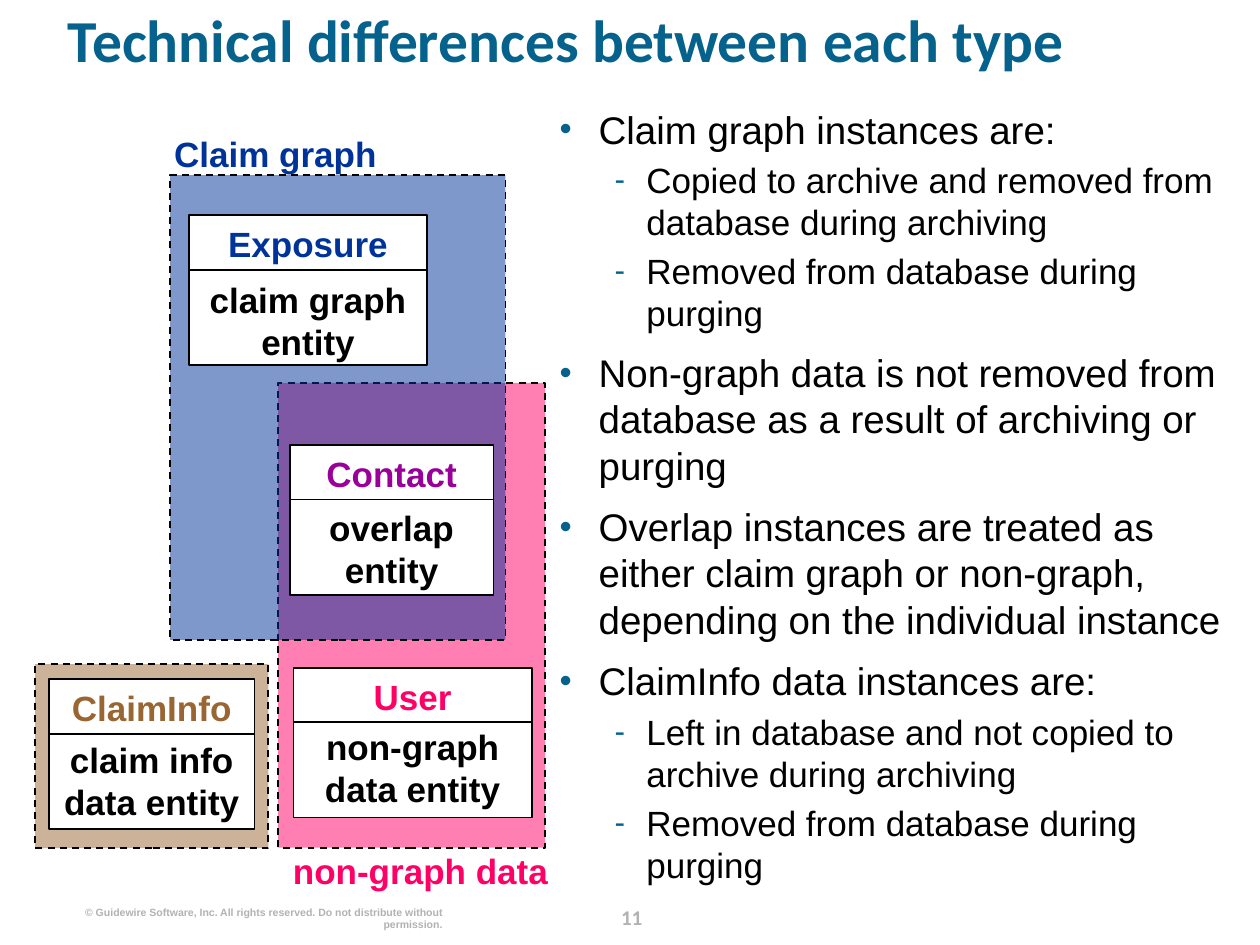
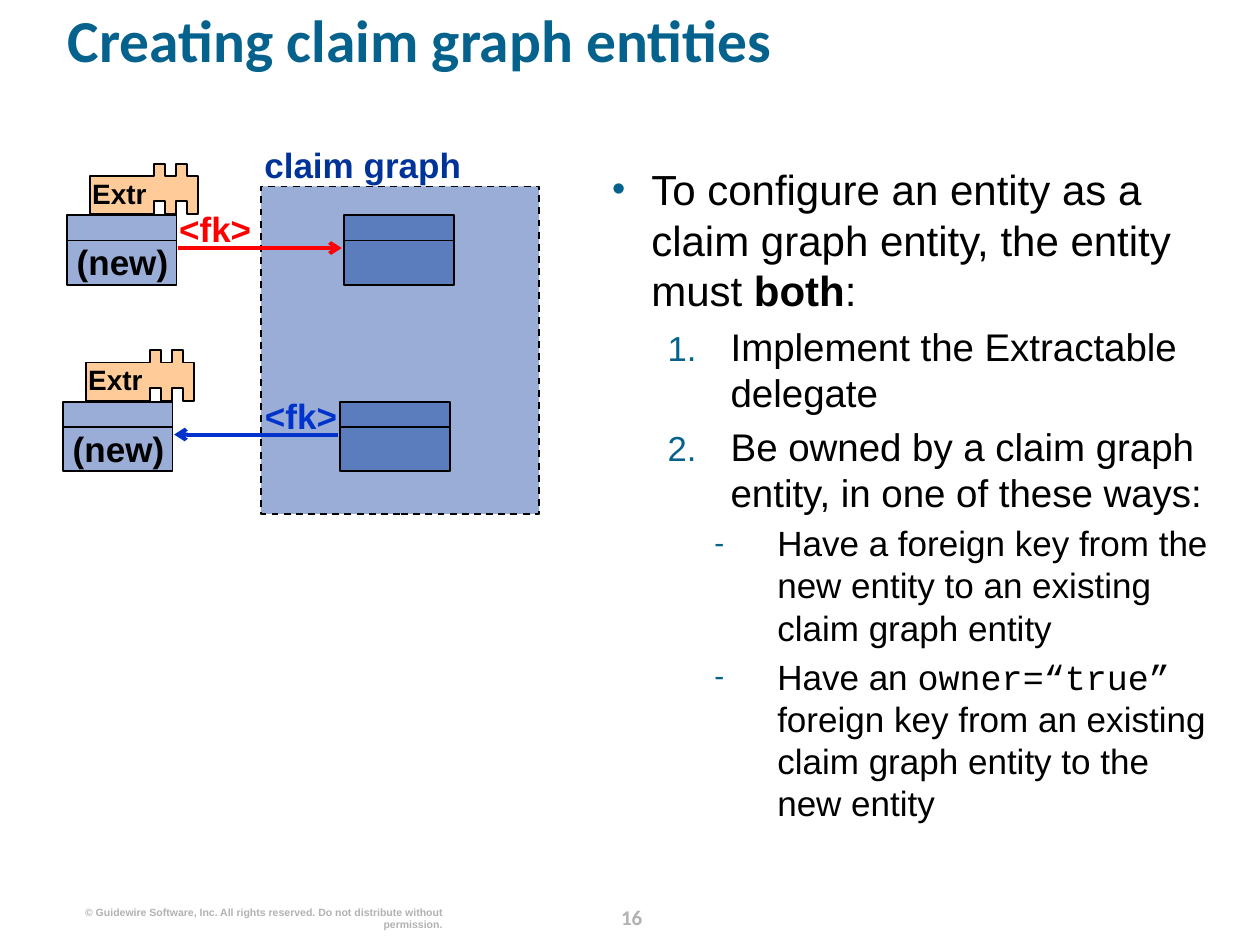
from dataclasses import dataclass

from lxml.etree import SubElement
from pptx import Presentation
from pptx.dml.color import RGBColor
from pptx.enum.dml import MSO_LINE
from pptx.enum.shapes import MSO_CONNECTOR, MSO_SHAPE
from pptx.enum.text import PP_ALIGN
from pptx.oxml.ns import qn
from pptx.util import Cm, Pt

COLORS = {
    "title": "04628C",
    "footer": "B2B2B2",
    "text": "000000",
    "white": "FFFFFF",
    "graph": "003399",
    "non_graph": "FF0066",
    "overlap": "990099",
    "claim_info": "996633",
    "extractable": "FFCC99",
    "key_out": "FF0000",
    "key_in": "0033CC",
}
COPYRIGHT = ("© Guidewire Software, Inc. All rights reserved. "
             "Do not distribute without permission.")


@dataclass
class Level:
    margin: float
    hanging: float
    size: int
    before: float
    bullet: str
    percent: int = 90


POINT = Level(0.79, 0.79, 22, 8.8, "•")
DETAIL = Level(1.75, 0.64, 20, 4, "-")
LEAD = Level(0.79, 0.79, 24, 9.6, "•")
STEP = Level(2.39, 1.27, 22, 4.4, "1.")
OPTION = Level(3.33, 1.27, 20, 4, "-", 85)


def rgb(name):
    return RGBColor.from_string(COLORS[name])


class Deck:
    def __init__(self):
        self.prs = Presentation()
        self.prs.slide_width, self.prs.slide_height = Cm(25.4), Cm(19.05)
        self.s = None

    def slide(self, title, number):
        self.s = self.prs.slides.add_slide(self.prs.slide_layouts[6])
        p = self.text(12.01, 18.11, 1.45, 0.64, str(number), "footer", 12,
                      PP_ALIGN.CENTER, "Calibri")
        p.line_spacing = Pt(18)
        self.text(1.55, 18.26, 7.37, 0.25, COPYRIGHT, "footer", 6, PP_ALIGN.RIGHT)
        p = self.text(1.37, 0.33, 23.11, 2.06, title, "title", 34, font="Calibri")
        p.line_spacing = 0.8

    def frame(self, x, y, w, h):
        tf = self.s.shapes.add_textbox(Cm(x), Cm(y), Cm(w), Cm(h)).text_frame
        tf.word_wrap = True
        tf.margin_left = tf.margin_right = tf.margin_top = tf.margin_bottom = 0
        return tf

    def style(self, r, color, size, bold, font):
        r.font.name, r.font.size, r.font.bold = font, Pt(size), bold
        r.font.color.rgb = rgb(color)

    def text(self, x, y, w, h, text, color="text", size=20,
             align=PP_ALIGN.LEFT, font="Arial"):
        p = self.frame(x, y, w, h).paragraphs[0]
        p.text = text
        p.alignment = align
        for r in p.runs:
            self.style(r, color, size, True, font)
        return p

    def bullet(self, p, level):
        pPr = p._p.get_or_add_pPr()
        pPr.set("marL", str(Cm(level.margin)))
        pPr.set("indent", str(-Cm(level.hanging)))
        SubElement(SubElement(pPr, qn("a:buClr")), qn("a:srgbClr"), val=COLORS["title"])
        SubElement(pPr, qn("a:buSzPct"), val=str(level.percent * 1000))
        SubElement(pPr, qn("a:buFont"), typeface="Arial")
        if level.bullet == "1.":
            SubElement(pPr, qn("a:buAutoNum"), type="arabicPeriod")
        else:
            SubElement(pPr, qn("a:buChar"), char=level.bullet)

    def body(self, x, y, w, h, items):
        tf = self.frame(x, y, w, h)
        for i, (level, *parts) in enumerate(items):
            p = tf.add_paragraph() if i else tf.paragraphs[0]
            self.bullet(p, level)
            if i:
                p.space_before = Pt(level.before)
            for part in parts:
                text, bold, font = part if isinstance(part, tuple) else (part, False, "Arial")
                r = p.add_run()
                r.text = text
                self.style(r, "text", level.size, bold, font)

    def paint(self, sp, fill, alpha=100, dashed=False):
        sp.shadow.inherit = False
        sp.fill.solid()
        sp.fill.fore_color.rgb = rgb(fill)
        if alpha < 100:
            color = sp.fill._xPr.find(qn("a:solidFill"))[0]
            SubElement(color, qn("a:alpha"), val=str(alpha * 1000))
        sp.line.color.rgb = rgb("text")
        sp.line.width = Pt(1)
        if dashed:
            sp.line.dash_style = MSO_LINE.DASH

    def rect(self, x, y, w, h, fill, alpha=100, dashed=False):
        sp = self.s.shapes.add_shape(MSO_SHAPE.RECTANGLE, Cm(x), Cm(y), Cm(w), Cm(h))
        self.paint(sp, fill, alpha, dashed)

    def line(self, x1, x2, y, color="text", width=1, arrow=False):
        cn = self.s.shapes.add_connector(MSO_CONNECTOR.STRAIGHT, Cm(x1), Cm(y), Cm(x2), Cm(y))
        cn.line.color.rgb = rgb(color)
        cn.line.width = Pt(width)
        SubElement(cn._element.spPr, qn("a:effectLst"))
        if arrow:
            SubElement(cn.line._get_or_add_ln(), qn("a:tailEnd"), type="arrow")

    def entity(self, x, y, w, name, kind, color, kind_top):
        self.rect(x, y, w, 3.02, "white")
        self.line(x, x + w, y + 1.1)
        self.text(x, y + 0.15, w, 0.84, name, color, align=PP_ALIGN.CENTER)
        self.text(x, y + kind_top, w, 1.7, kind, align=PP_ALIGN.CENTER)

    def table_box(self, x, y):
        self.rect(x, y, 2.21, 1.4, "graph", 40)
        self.line(x, x + 2.21, y + 0.51)

    def puzzle(self, x, y):
        xs = [1.3 + 0.22 * i for i in range(5)]
        points = [(0, 0.25), (xs[0], 0.25)]
        for i in (0, 2):
            points += [(xs[i], 0), (xs[i + 1], 0), (xs[i + 1], 0.25), (xs[i + 2], 0.25)]
        for i in (4, 2):
            points += [(xs[i], 1.02), (xs[i - 1], 1.02), (xs[i - 1], 0.76), (xs[i - 2], 0.76)]
        points += [(xs[0], 1.02), (0, 1.02)]
        start, *rest = [(Cm(x + dx), Cm(y + dy)) for dx, dy in points]
        fb = self.s.shapes.build_freeform(*start)
        fb.add_line_segments(rest)
        self.paint(fb.convert_to_shape(), "extractable")
        self.text(x + 0.05, y + 0.25, 2.03, 0.69, "Extr", size=16)

    def foreign_key(self, x, y, color, key_x, outward):
        existing_x = x + 5.59
        self.table_box(existing_x, y)
        self.table_box(x, y)
        ends = (x + 2.24, existing_x - 0.05)
        self.line(*(ends if outward else ends[::-1]), y + 0.66, color, 2.25, True)
        self.text(key_x, y - 0.15, 1.88, 0.84, "<fk>", color, align=PP_ALIGN.CENTER)
        self.text(x + 0.18, y + 0.51, 1.88, 0.84, "(new)", align=PP_ALIGN.CENTER)
        self.puzzle(x + 0.46, y - 1.04)


def differences(deck):
    deck.slide("Technical differences between each type", 11)
    deck.body(11.28, 2.13, 13.51, 16.15, [
        (POINT, "Claim graph instances are:"),
        (DETAIL, "Copied to archive and removed from database during archiving"),
        (DETAIL, "Removed from database during purging"),
        (POINT, "Non-graph data is not removed from database as a result of "
                "archiving or purging"),
        (POINT, "Overlap instances are treated as either claim graph or non-graph, "
                "depending on the individual instance"),
        (POINT, "ClaimInfo data instances are:"),
        (DETAIL, "Left in database and not copied to archive during archiving"),
        (DETAIL, "Removed from database during purging"),
    ])
    for x, y, w, h, fill in [
        (0.71, 13.39, 4.7, 3.71, "claim_info"),
        (5.61, 7.72, 5.38, 9.37, "non_graph"),
        (3.43, 3.53, 6.76, 9.37, "graph"),
    ]:
        deck.rect(x, y, w, h, fill, 50, True)
    deck.text(3.51, 2.67, 4.39, 0.84, "Claim graph", "graph")
    deck.text(5.44, 17.12, 5.61, 0.86, "non-graph data", "non_graph", align=PP_ALIGN.RIGHT)
    for entity in [
        (0.99, 13.69, 4.14, "ClaimInfo", "claim info data entity", "claim_info", 1.19),
        (3.81, 4.34, 4.8, "Exposure", "claim graph\nentity", "graph", 1.27),
        (5.92, 13.46, 4.8, "User", "non-graph data entity", "non_graph", 1.17),
        (5.84, 8.97, 4.11, "Contact", "overlap\nentity", "overlap", 1.24),
    ]:
        deck.entity(*entity)


def creating(deck):
    deck.slide("Creating claim graph entities", 16)
    deck.rect(5.26, 3.76, 5.61, 6.6, "graph", 40, True)
    deck.body(12.34, 3.3, 12.19, 14.43, [
        (LEAD, "To configure an entity as a claim graph entity, the entity must ",
         ("both", True, "Arial"), ":"),
        (STEP, "Implement the Extractable delegate"),
        (STEP, "Be owned by a claim graph entity, in one of these ways:"),
        (OPTION, "Have a foreign key from the new entity to an existing claim graph entity"),
        (OPTION, "Have an ", ("owner=“true” ", False, "Courier New"),
         "foreign key from an existing claim graph entity to the new entity"),
    ])
    deck.text(5.33, 2.9, 4.39, 0.84, "claim graph", "graph")
    deck.foreign_key(1.35, 4.34, "key_out", 3.4, True)
    deck.foreign_key(1.27, 8.1, "key_in", 5.13, False)


def main():
    deck = Deck()
    differences(deck)
    creating(deck)
    deck.prs.save("out.pptx")


if __name__ == "__main__":
    main()
